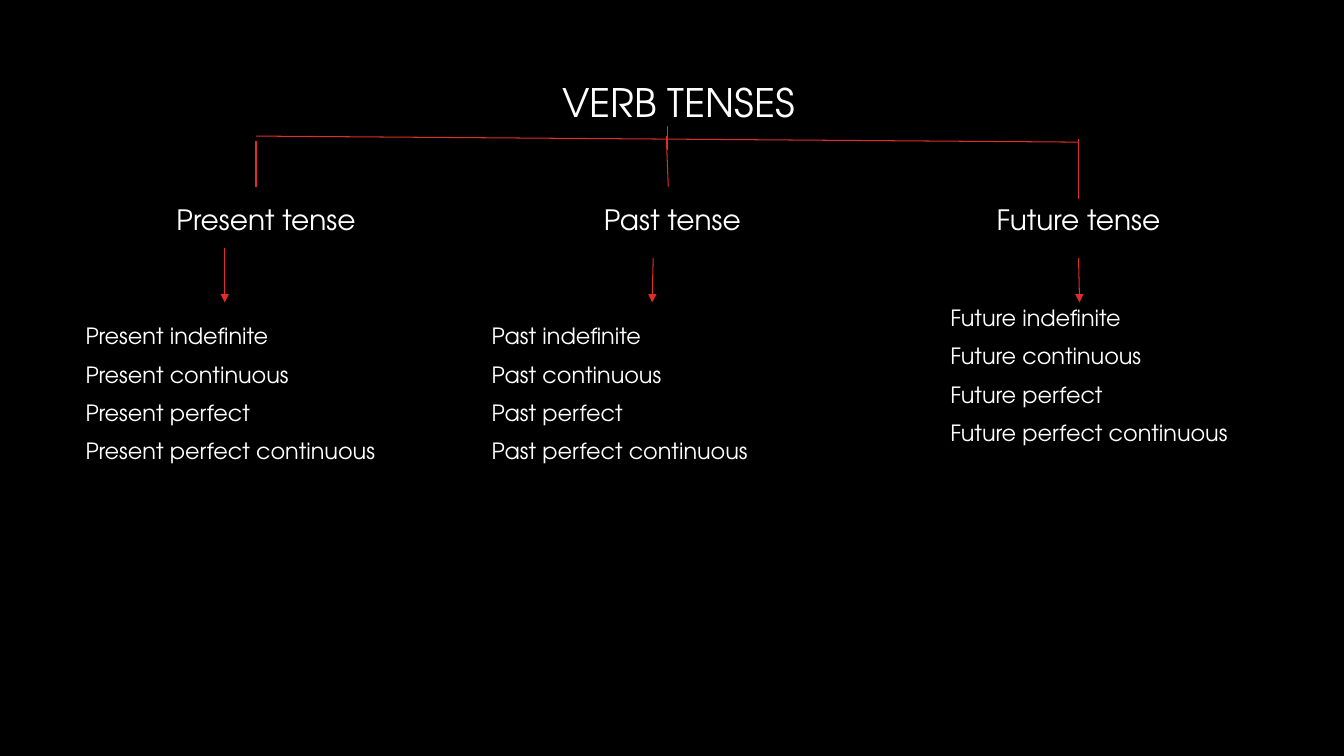
from dataclasses import dataclass

import pptx
import pptx.dml.color
import pptx.enum.shapes
import pptx.enum.text
import pptx.oxml.ns
import pptx.oxml.xmlchemy
import pptx.slide
import pptx.util

Pt = pptx.util.Pt
Align = pptx.enum.text.PP_ALIGN
Anchor = pptx.enum.text.MSO_ANCHOR
Color = pptx.dml.color.RGBColor
make_node = pptx.oxml.xmlchemy.OxmlElement


@dataclass(frozen=True)
class Theme:
    font: str = "TeX Gyre Adventor"
    back: Color = Color(0x00, 0x00, 0x00)
    text: Color = Color(0xFF, 0xFF, 0xFF)
    line: Color = Color(0xDF, 0x2E, 0x28)
    title: float = 28
    head: float = 20
    body: float = 16
    stroke: float = 0.75


@dataclass(frozen=True)
class Box:
    left: float
    top: float
    width: float
    height: float


@dataclass(frozen=True)
class Line:
    x1: float
    y1: float
    x2: float
    y2: float
    arrow: bool = False


@dataclass(frozen=True)
class Tense:
    name: str
    forms: Box


THEME = Theme()
LEFT, STEP, WIDTH = 54, 290.16, 272.16
TITLE = Box(326.88, 54.72, 247.68, 40.32)
FORMS = ["indefinite", "continuous", "perfect", "perfect continuous"]
TENSES = [
    Tense("Present", Box(LEFT, 228.96, WIDTH, 260.64)),
    Tense("Past", Box(LEFT + STEP, 228.96, WIDTH, 260.64)),
    Tense("Future", Box(671.76, 216, 220.32, 107.28)),
]
LINES = [
    Line(160.56, 177.12, 160.56, 216, arrow=True),
    Line(466.56, 184.32, 465.84, 216, arrow=True),
    Line(770.4, 184.32, 771.12, 216, arrow=True),
    Line(475.92, 97.2, 477.36, 133.2),
    Line(182.88, 100.8, 182.88, 133.92),
    Line(770.4, 99.36, 770.4, 141.84),
    Line(182.88, 97.2, 770.4, 101.52),
    Line(476.64, 90, 476.64, 107.28),
]


def add_text(slide: pptx.slide.Slide, box: Box, text: str, size: float,
             align: Align = Align.LEFT, anchor: Anchor = Anchor.TOP,
             space: float = 10) -> None:
    """Add a text box with one paragraph for each line of text."""
    shape = slide.shapes.add_textbox(
        Pt(box.left), Pt(box.top), Pt(box.width), Pt(box.height))
    frame = shape.text_frame
    frame.word_wrap = True
    frame.vertical_anchor = anchor
    frame.text = text
    for para in frame.paragraphs:
        para.alignment = align
        para.line_spacing = 0.9
        para.space_before = Pt(space)
        for run in para.runs:
            run.font.name = THEME.font
            run.font.size = Pt(size)
            run.font.color.rgb = THEME.text


def add_line(slide: pptx.slide.Slide, line: Line) -> None:
    shape = slide.shapes.add_connector(
        pptx.enum.shapes.MSO_CONNECTOR.STRAIGHT,
        Pt(line.x1), Pt(line.y1), Pt(line.x2), Pt(line.y2))
    shape.line.color.rgb = THEME.line
    shape.line.width = Pt(THEME.stroke)
    props = shape._element.find(pptx.oxml.ns.qn("p:spPr"))
    if line.arrow:
        tail = make_node("a:tailEnd")
        tail.set("type", "triangle")
        props.find(pptx.oxml.ns.qn("a:ln")).append(tail)
    props.append(make_node("a:effectLst"))


def main() -> None:
    deck = pptx.Presentation()
    deck.slide_width, deck.slide_height = Pt(960), Pt(540)
    slide = deck.slides.add_slide(deck.slide_layouts[6])
    slide.background.fill.solid()
    slide.background.fill.fore_color.rgb = THEME.back

    add_text(slide, TITLE, "VERB TENSES", THEME.title,
             Align.RIGHT, Anchor.MIDDLE, space=0)
    for i, tense in enumerate(TENSES):
        head = Box(LEFT + i * STEP, 132.48, WIDTH, 40.32)
        add_text(slide, head, f"{tense.name} tense", THEME.head,
                 Align.CENTER, Anchor.BOTTOM)
        forms = "\n".join(f"{tense.name} {form}" for form in FORMS)
        add_text(slide, tense.forms, forms, THEME.body)
    for line in LINES:
        add_line(slide, line)

    deck.save("out.pptx")


if __name__ == "__main__":
    main()
